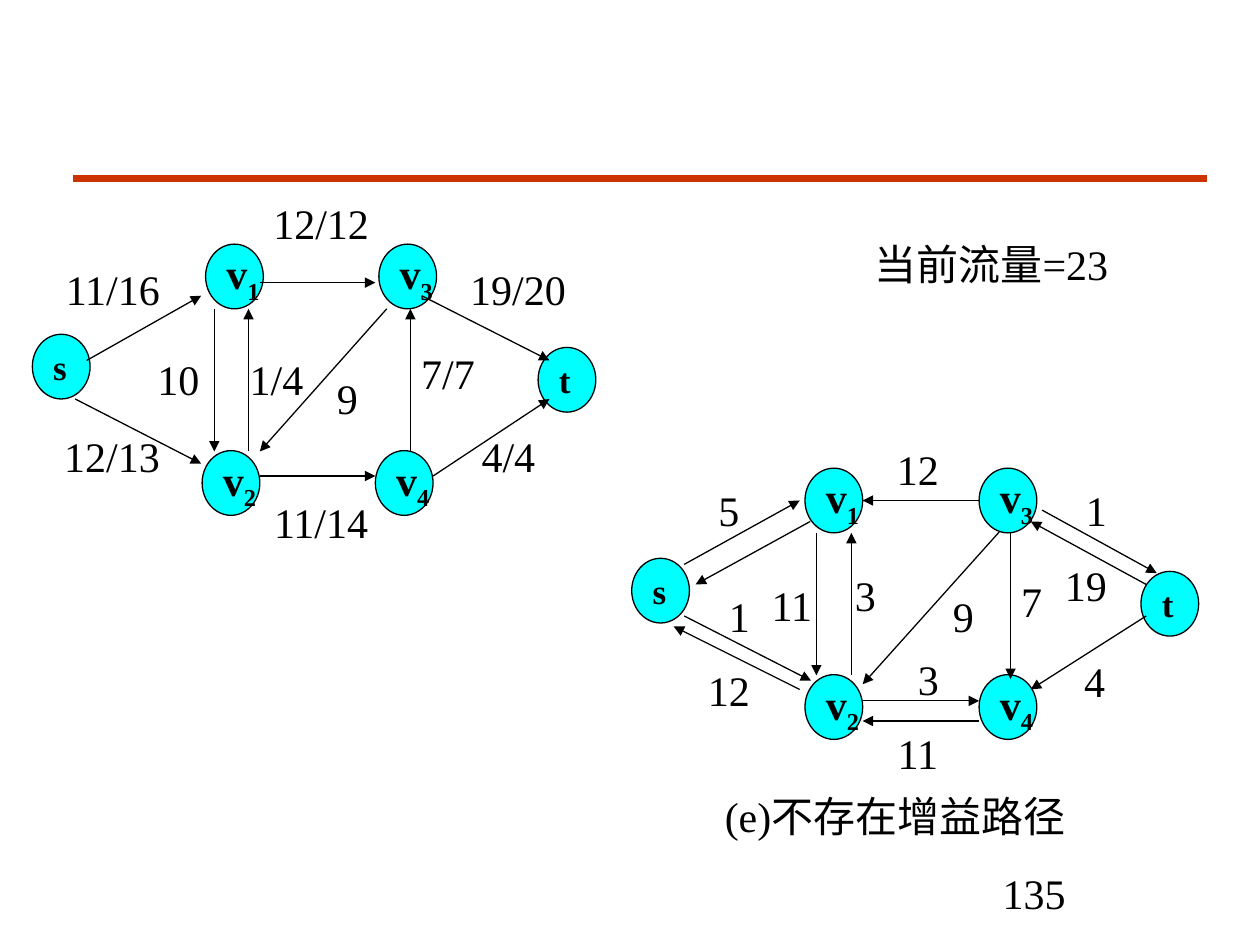
from dataclasses import dataclass

from lxml.etree import SubElement
from pptx import Presentation
from pptx.dml.color import RGBColor
from pptx.enum.shapes import MSO_CONNECTOR as Connector, MSO_SHAPE as Shape
from pptx.enum.text import MSO_ANCHOR as Anchor, MSO_AUTO_SIZE as AutoSize, PP_ALIGN as Align
from pptx.oxml.ns import qn
from pptx.util import Pt


@dataclass(frozen=True)
class Theme:
    font: str = "Times New Roman"
    ink: RGBColor = RGBColor(0x00, 0x00, 0x00)
    node: RGBColor = RGBColor(0x00, 0xFF, 0xFF)
    rule: RGBColor = RGBColor(0xCC, 0x33, 0x00)
    text_size: float = 24
    terminal_size: float = 20
    thin: float = 0.75
    thick: float = 4.5


@dataclass(frozen=True)
class Node:
    letter: str
    x: float
    y: float
    index: str = ""


@dataclass(frozen=True)
class Edge:
    x1: float
    y1: float
    x2: float
    y2: float


@dataclass(frozen=True)
class Weight:
    text: str
    x: float
    y: float
    width: float = 0  # 0 takes the width for the text's length


@dataclass(frozen=True)
class Network:
    nodes: list[Node]
    edges: list[Edge]
    weights: list[Weight]


THEME = Theme()
NODE_WIDTH, NODE_HEIGHT = 33, 37
LINE_HEIGHT = 36
# Text width plus side insets, by number of characters
WEIGHT_WIDTHS = {1: 27, 2: 39, 3: 46, 5: 70}

# Flow network: flow/capacity on each edge
FLOW = Network(
    nodes=[
        Node("s", 18.5, 191), Node("t", 307.5, 198.5),
        Node("v", 117.5, 139.5, "1"), Node("v", 115.5, 257.5, "2"),
        Node("v", 216.5, 139.5, "3"), Node("v", 214.5, 257.5, "4"),
    ],
    edges=[
        Edge(49.5, 206, 115, 169), Edge(148.5, 161.5, 214.5, 161.5),
        Edge(241, 169, 314, 206), Edge(43, 228, 115, 265),
        Edge(148.5, 272, 214.5, 272), Edge(247.5, 272, 314, 228),
        Edge(122.5, 176.5, 122.5, 258), Edge(142, 258, 142, 176.5),
        Edge(234.5, 258, 234.5, 176.5), Edge(221, 176.5, 148.5, 258),
    ],
    weights=[
        Weight("9", 175.5, 209.5, 46), Weight("11/16", 29.5, 147),
        Weight("12/13", 29, 242.5), Weight("12/12", 148.5, 109.5),
        Weight("10", 82.5, 198.5), Weight("1/4", 135, 198.5),
        Weight("19/20", 261, 147), Weight("4/4", 267.5, 242.5),
        Weight("7/7", 233, 195), Weight("11/14", 148.5, 280),
    ],
)

# Residual network: remaining capacity on each edge
RESIDUAL = Network(
    nodes=[
        Node("s", 361, 319), Node("t", 652, 326.5),
        Node("v", 460, 267.5, "1"), Node("v", 460, 385.5, "2"),
        Node("v", 559.5, 267.5, "3"), Node("v", 559.5, 385.5, "4"),
    ],
    edges=[
        Edge(391, 322.5, 457, 286), Edge(463, 298, 397.5, 334),
        Edge(391, 352, 463.5, 389), Edge(457, 394, 385, 358),
        Edge(595.5, 291.5, 661, 327.5), Edge(655, 334, 589, 298),
        Edge(493, 400.5, 559.5, 400.5), Edge(559.5, 412, 493, 412),
        Edge(466.5, 304.5, 466.5, 386), Edge(486.5, 386, 486.5, 304.5),
        Edge(571, 304, 493, 391), Edge(577.5, 304, 577.5, 388),
        Edge(559.5, 286, 493, 286), Edge(655, 352, 589, 394),
    ],
    weights=[
        Weight("5", 403, 273.5), Weight("12", 397, 376),
        Weight("12", 505, 250), Weight("11", 433, 327.5),
        Weight("3", 481, 322), Weight("1", 613, 273.5),
        Weight("4", 612, 371), Weight("11", 505, 412),
        Weight("9", 535, 334, 31), Weight("3", 517, 370),
        Weight("1", 409, 334), Weight("19", 601, 316),
        Weight("7", 576, 325.5),
    ],
)


def write(paragraph, text: str, *, size: float = THEME.text_size,
          bold: bool = False, subscript: bool = False) -> None:
    run = paragraph.add_run()
    run.text = text
    run.font.name = THEME.font
    run.font.size = Pt(size)
    run.font.bold = bold
    run.font.color.rgb = THEME.ink
    if subscript:
        run.font._element.set("baseline", "-25000")


def draw_text(shapes, text: str, x: float, y: float, width: float,
              wrap: bool = False) -> None:
    box = shapes.add_textbox(Pt(x), Pt(y), Pt(width), Pt(LINE_HEIGHT))
    frame = box.text_frame
    frame.word_wrap = wrap
    frame.auto_size = AutoSize.SHAPE_TO_FIT_TEXT
    paragraph = frame.paragraphs[0]
    paragraph.alignment = Align.CENTER
    write(paragraph, text)


def draw_line(shapes, edge: Edge, color: RGBColor, weight: float, arrow: bool) -> None:
    line = shapes.add_connector(Connector.STRAIGHT, Pt(edge.x1), Pt(edge.y1),
                                Pt(edge.x2), Pt(edge.y2))
    line.line.color.rgb = color
    line.line.width = Pt(weight)
    properties = line._element.spPr
    if arrow:
        SubElement(properties.find(qn("a:ln")), qn("a:tailEnd"), type="triangle")
    SubElement(properties, qn("a:effectLst"))


def draw_node(shapes, node: Node) -> None:
    circle = shapes.add_shape(Shape.OVAL, Pt(node.x), Pt(node.y),
                              Pt(NODE_WIDTH), Pt(NODE_HEIGHT))
    circle.shadow.inherit = False
    circle.fill.solid()
    circle.fill.fore_color.rgb = THEME.node
    circle.line.color.rgb = THEME.ink
    circle.line.width = Pt(THEME.thin)
    frame = circle.text_frame
    frame.word_wrap = False
    frame.vertical_anchor = Anchor.MIDDLE
    paragraph = frame.paragraphs[0]
    paragraph.alignment = Align.LEFT
    size = THEME.text_size if node.index else THEME.terminal_size
    write(paragraph, node.letter, size=size, bold=True)
    if node.index:
        write(paragraph, node.index, size=size, bold=True, subscript=True)


def draw_network(slide, network: Network) -> None:
    shapes = slide.shapes.add_group_shape().shapes
    for node in network.nodes:
        draw_node(shapes, node)
    for edge in network.edges:
        draw_line(shapes, edge, THEME.ink, THEME.thin, arrow=True)
    for weight in network.weights:
        width = weight.width or WEIGHT_WIDTHS[len(weight.text)]
        draw_text(shapes, weight.text, weight.x, weight.y, width)


def main() -> None:
    deck = Presentation()
    deck.slide_width, deck.slide_height = Pt(720), Pt(540)
    slide = deck.slides.add_slide(deck.slide_layouts[6])

    # Title rule and page number
    draw_line(slide.shapes, Edge(42, 102, 690, 102), THEME.rule, THEME.thick, arrow=False)
    draw_text(slide.shapes, "135", 516, 492, 150, wrap=True)

    # Networks with their captions
    draw_network(slide, RESIDUAL)
    draw_text(slide.shapes, "(e)不存在增益路径", 406, 448, 211, wrap=True)
    draw_network(slide, FLOW)
    draw_text(slide.shapes, "当前流量=23", 484, 133, 165, wrap=True)

    deck.save("out.pptx")


if __name__ == "__main__":
    main()
